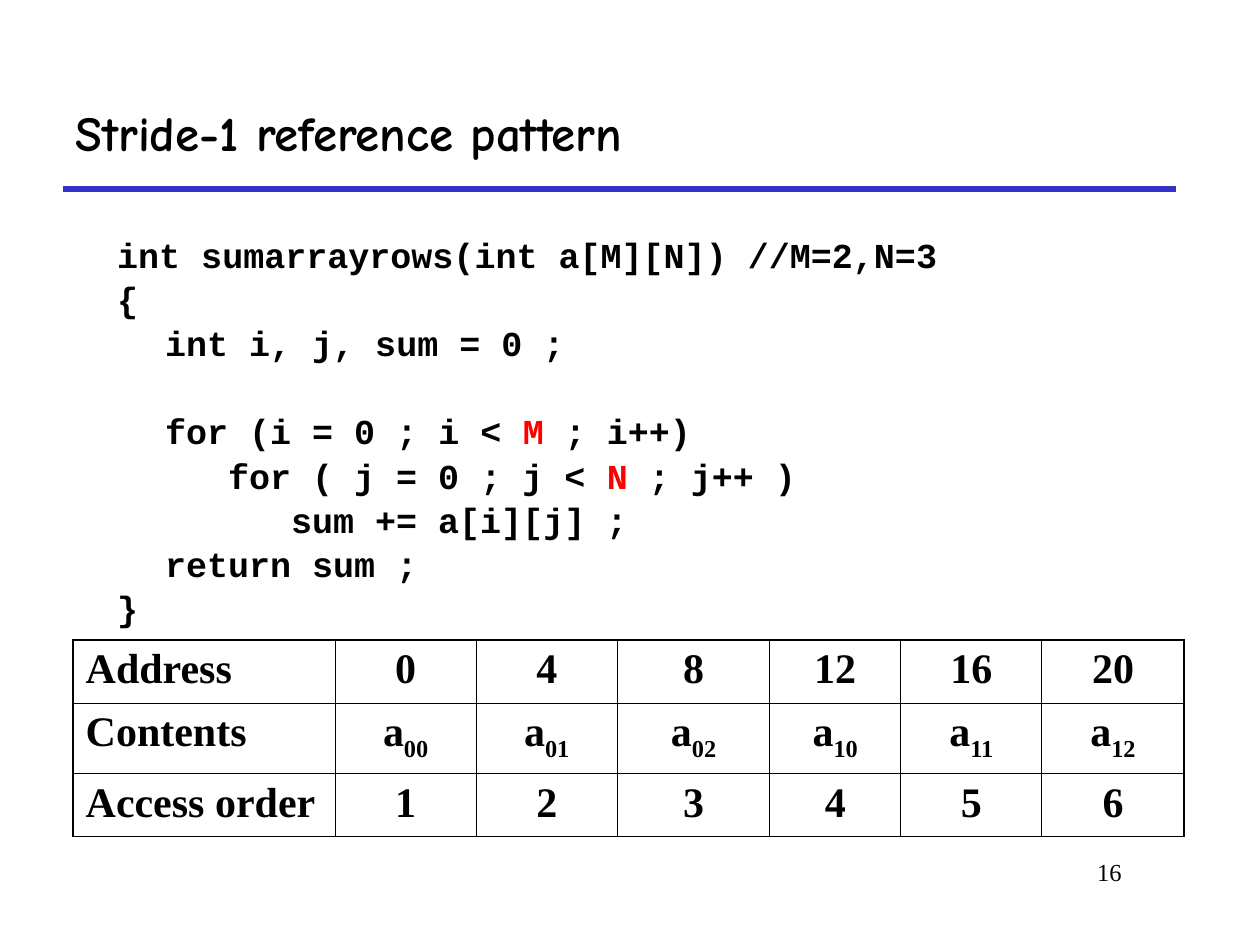
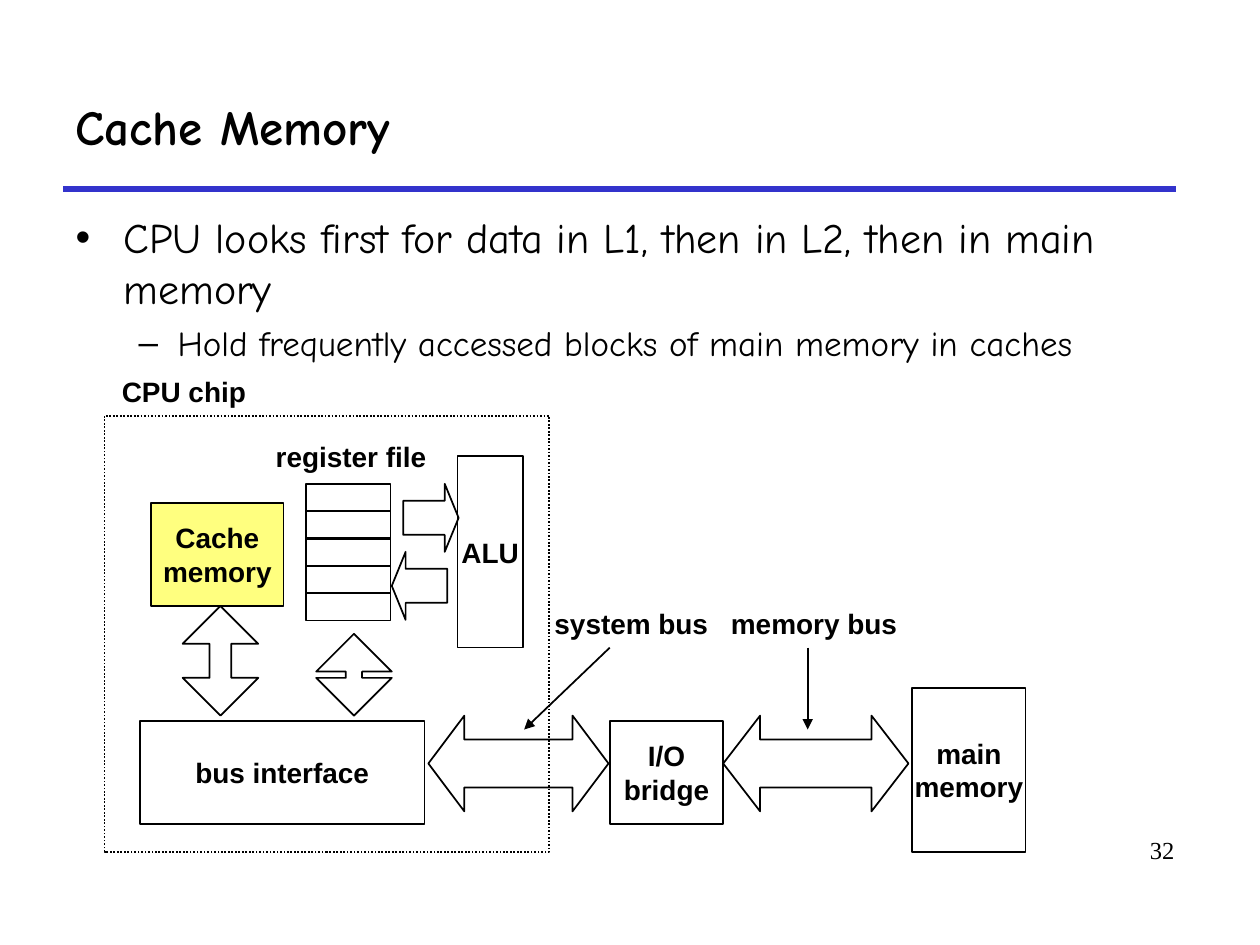
from lxml.etree import SubElement
from pptx import Presentation
from pptx.dml.color import RGBColor
from pptx.enum.dml import MSO_LINE
from pptx.enum.shapes import MSO_CONNECTOR, MSO_SHAPE
from pptx.enum.text import MSO_ANCHOR, MSO_AUTO_SIZE, PP_ALIGN
from pptx.oxml.ns import qn
from pptx.util import Inches, Pt

COLORS = {"ink": "000000", "rule": "3333CC", "bound": "FF0000", "cache": "FFFF00"}
RGB = {name: RGBColor.from_string(value) for name, value in COLORS.items()}
HAND, CODE, SERIF, SANS = "Comic Neue", "Courier New", "Times New Roman", "Arial"


def write(frame, lines, font=SANS, size=16, bold=True, align=PP_ALIGN.CENTER,
          anchor=None, wrap=True, before=0, spacing=None, indents=None,
          bullets=None, sizes=None, tabs=()):
    """Fill a frame; a line is a string or a list of (text, color, baseline) runs."""
    frame.word_wrap = wrap
    frame.auto_size = MSO_AUTO_SIZE.NONE
    if anchor is not None:
        frame.vertical_anchor = anchor
    for n, line in enumerate(lines):
        paragraph = frame.paragraphs[0] if n == 0 else frame.add_paragraph()
        props = paragraph._p.get_or_add_pPr()
        if indents:
            margin, hanging = indents[n % len(indents)]
            props.set("marL", str(Inches(margin)))
            props.set("indent", str(Inches(hanging)))
        if bullets:
            SubElement(props, qn("a:buFont"), typeface=SANS)
            SubElement(props, qn("a:buChar"), char=bullets[n])
        else:
            SubElement(props, qn("a:buNone"))
        if tabs:
            stops = SubElement(props, qn("a:tabLst"))
            for stop in tabs:
                SubElement(stops, qn("a:tab"), pos=str(Inches(stop)), algn="l")
        paragraph.alignment = align
        paragraph.space_before = Pt(before if n else 0)
        if spacing:
            paragraph.line_spacing = spacing[min(n, len(spacing) - 1)]
        for text, color, baseline in [(line, "ink", 0)] if isinstance(line, str) else line:
            run = paragraph.add_run()
            run.text = text
            run.font.name, run.font.bold = font, bold
            run.font.size = Pt(sizes[n] if sizes else size)
            run.font.color.rgb = RGB[color]
            if baseline:
                run._r.get_or_add_rPr().set("baseline", str(baseline))


def draw_line(slide, start, end, color="ink", width=1, arrow=False):
    line = slide.shapes.add_connector(MSO_CONNECTOR.STRAIGHT, *map(Inches, start + end))
    line.line.color.rgb = RGB[color]
    line.line.width = Pt(width)
    if arrow:
        SubElement(line.line._get_or_add_ln(), qn("a:tailEnd"), type="triangle")
    SubElement(line.element.spPr, qn("a:effectLst"))
    return line


deck = Presentation()
deck.slide_width, deck.slide_height = Inches(10), Inches(7.5)

# Shared parts: title, page number, body place
pages = [
    ("Stride-1 reference pattern", 1.2, "16", (7.58, 6.75), (0.83, 1.8, 8.75, 3.2)),
    ("Cache Memory", 1.0, "32", (8, 6.58), (0.5, 1.63, 9.08, 1.37)),
]
slides, bodies = [], []
for heading, heading_spacing, number, number_at, body_at in pages:
    slide = deck.slides.add_slide(deck.slide_layouts[1])
    title, body = slide.placeholders
    title.left, title.top, title.width, title.height = map(Inches, (0.5, 0.5, 8.83, 1))
    write(title.text_frame, [heading], font=HAND, size=28, align=PP_ALIGN.LEFT,
          anchor=MSO_ANCHOR.MIDDLE, spacing=[heading_spacing])
    body.left, body.top, body.width, body.height = map(Inches, body_at)
    page_number = slide.shapes.add_textbox(*map(Inches, number_at + (1.42, 0.5)))
    write(page_number.text_frame, [number], font=SERIF, size=14, bold=False,
          align=PP_ALIGN.RIGHT)
    slides.append(slide)
    bodies.append(body)
stride, cache = slides

# Blue rule under the title, kept on the master
rule = draw_line(stride, (0.5, 1.5), (9.33, 1.5), color="rule", width=3)
deck.slide_master.shapes.element.append(rule.element)

# Slide 1: code
code = [
    "int sumarrayrows(int a[M][N]) //M=2,N=3",
    "{",
    "\tint i, j, sum = 0 ;",
    "\t",
    [("\tfor (i = 0 ; i < ", "ink", 0), ("M", "bound", 0), (" ; i++)", "ink", 0)],
    [("\t\tfor ( j = 0 ; j < ", "ink", 0), ("N", "bound", 0), (" ; j++ )", "ink", 0)],
    "\t\t\tsum += a[i][j] ;",
    "\treturn sum ;",
    "}",
]
write(bodies[0].text_frame, code, font=CODE, size=20, align=PP_ALIGN.LEFT, before=6,
      spacing=[1.0, 0.8], indents=[(0.38, -0.38)], tabs=range(8))

# Slide 1: memory layout table
elements = [[("a", "ink", 0), (f"{i}{j}", "ink", -25000)] for i in range(2) for j in range(3)]
layout_rows = [
    ["Address"] + [str(4 * n) for n in range(6)],
    ["Contents"] + elements,
    ["Access order"] + [str(n + 1) for n in range(6)],
]
column_widths = [2.08, 1.12, 1.12, 1.21, 1.04, 1.12, 1.13]
row_heights = [0.5, 0.56, 0.5]
memory = stride.shapes.add_table(3, 7, *map(Inches, (0.58, 5.08, 8.82, 1.56))).table
memory.first_row = memory.horz_banding = False
for column, width in zip(memory.columns, column_widths):
    column.width = Inches(width)
for r, (row, height) in enumerate(zip(layout_rows, row_heights)):
    memory.rows[r].height = Inches(height)
    for c, content in enumerate(row):
        cell = memory.cell(r, c)
        write(cell.text_frame, [content], font=SERIF, size=24,
              align=PP_ALIGN.CENTER if c else PP_ALIGN.LEFT)
        outer = {"L": c == 0, "R": c == 6, "T": r == 0, "B": r == 2}
        for side, is_outer in outer.items():
            border = SubElement(cell._tc.get_or_add_tcPr(), qn(f"a:ln{side}"),
                                w=str(Pt(1.08 if is_outer else 0.45)))
            SubElement(SubElement(border, qn("a:solidFill")), qn("a:srgbClr"),
                       val=COLORS["ink"])
        cell.fill.background()

# Slide 2: bullets
write(bodies[1].text_frame,
      ["CPU looks first for data in L1, then in L2, then in main memory",
       "Hold frequently accessed blocks of main memory in caches"],
      font=HAND, bold=False, align=PP_ALIGN.LEFT, before=5, sizes=[24, 20],
      indents=[(0.38, -0.38), (0.81, -0.31)], bullets="•–")
bodies[1].text_frame.paragraphs[1].level = 1

# Slide 2: blocks and bus arrows as (preset, place, lines, arrow head)
BOX, ACROSS, UPDOWN = MSO_SHAPE.RECTANGLE, MSO_SHAPE.LEFT_RIGHT_ARROW, MSO_SHAPE.UP_DOWN_ARROW
registers = [(BOX, (2.43, 3.84 + 0.216 * n, 0.67, 0.22), [], None) for n in range(5)]
parts = [
    (BOX, (7.24, 5.46, 0.9, 1.3), ["main", "memory"], None),
    (ACROSS, (5.74, 5.68, 1.47, 0.76), [], 0.386),
    (BOX, (4.84, 5.72, 0.9, 0.82), ["I/O", "bridge"], None),
    (ACROSS, (3.4, 5.68, 1.43, 0.76), [], 0.376),
    (BOX, (1.11, 5.72, 2.26, 0.82), ["bus interface"], None),
    *registers,
    (MSO_SHAPE.RIGHT_ARROW, (3.2, 3.84, 0.44, 0.54), [], 0.25),
    (MSO_SHAPE.LEFT_ARROW, (3.11, 4.38, 0.44, 0.54), [], 0.25),
    (BOX, (3.63, 3.62, 0.52, 1.52), ["ALU"], None),
    (UPDOWN, (2.51, 5.03, 0.6, 0.65), [], 0.215),
    (UPDOWN, (1.45, 4.81, 0.6, 0.87), [], 0.287),
    (BOX, (0.83, 3.3, 3.53, 3.46), [], None),
    (BOX, (1.2, 3.99, 1.05, 0.82), ["Cache", "memory"], None),
]
drawn = []
for preset, place, lines, head in parts:
    part = cache.shapes.add_shape(preset, *map(Inches, place))
    part.shadow.inherit = False
    part.fill.background()
    part.line.color.rgb = RGB["ink"]
    part.line.width = Pt(1)
    if head:
        part.adjustments[0], part.adjustments[1] = 0.5, head
    if lines:
        write(part.text_frame, lines, anchor=MSO_ANCHOR.MIDDLE, wrap=False)
    drawn.append(part)

# Dotted chip outline and half-transparent cache block
chip, cache_block = drawn[-2:]
chip.line.dash_style = MSO_LINE.ROUND_DOT
cache_block.fill.solid()
cache_block.fill.fore_color.rgb = RGB["cache"]
tint = cache_block.element.spPr.find(qn("a:solidFill")).find(qn("a:srgbClr"))
SubElement(tint, qn("a:alpha"), val="50000")

# Labels and their pointers
labels = [
    ("CPU chip", (0.87, 2.92, 1.18, 0.37)),
    ("register file", (2.09, 3.44, 1.39, 0.37)),
    ("system bus", (4.3, 4.76, 1.42, 0.37)),
    ("memory bus", (5.7, 4.76, 1.52, 0.37)),
]
for label, place in labels:
    write(cache.shapes.add_textbox(*map(Inches, place)).text_frame, [label],
          anchor=MSO_ANCHOR.MIDDLE, wrap=False)
for start, end in [((4.84, 5.14), (4.16, 5.79)), ((6.41, 5.14), (6.41, 5.79))]:
    draw_line(cache, start, end, arrow=True)

deck.save("out.pptx")
